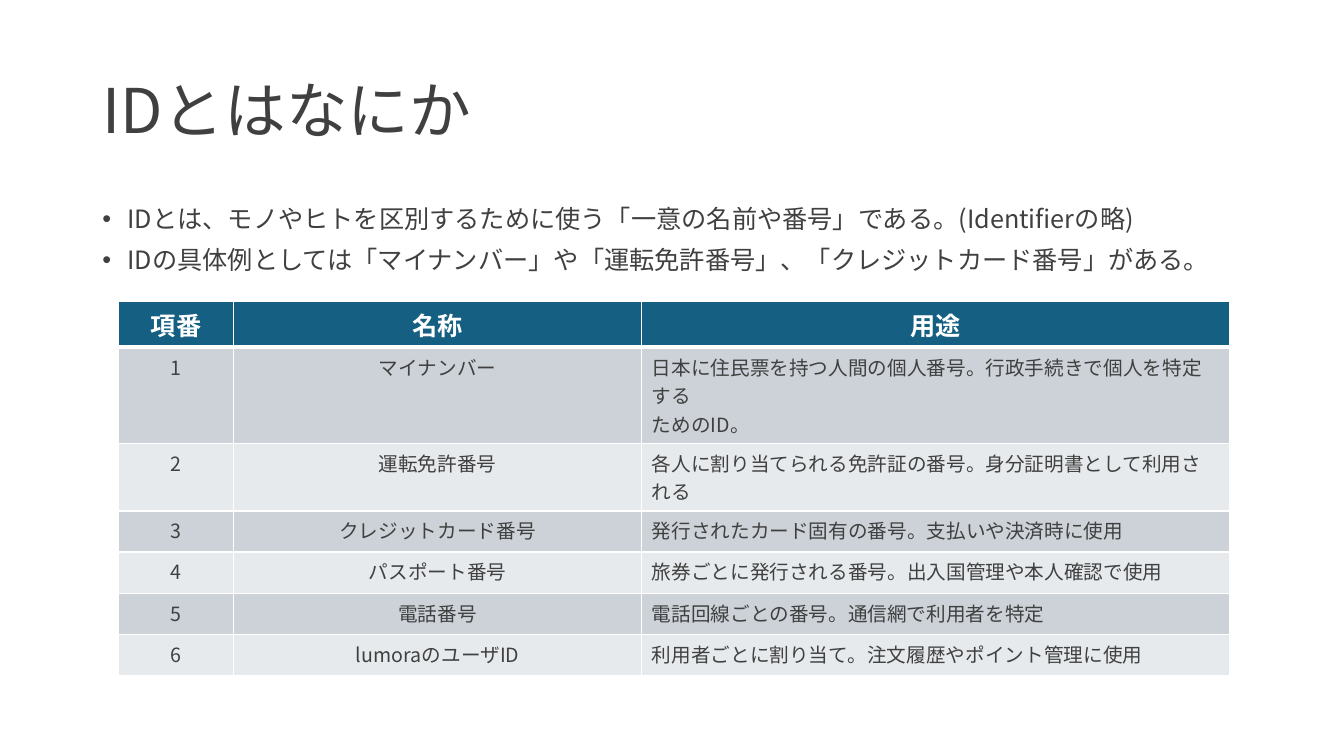
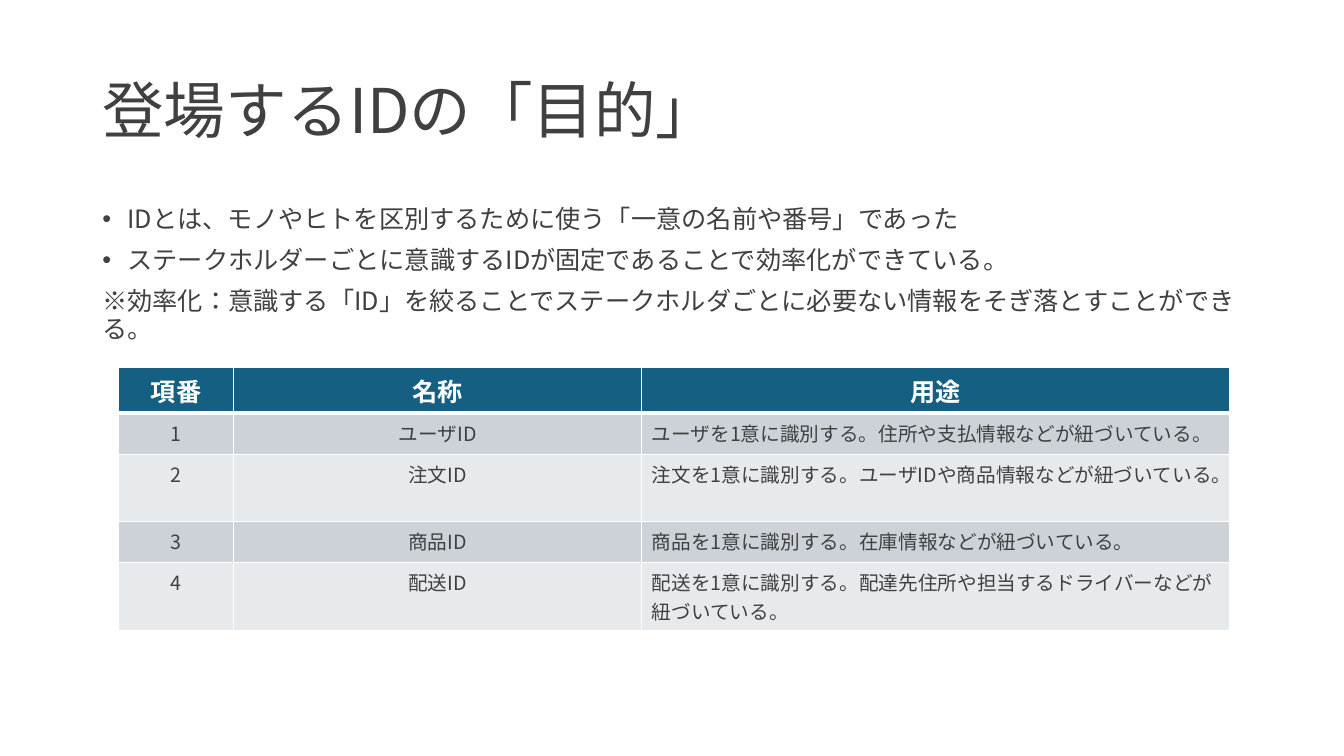
from math import ceil

from lxml.etree import SubElement
from pptx import Presentation
from pptx.dml.color import RGBColor
from pptx.enum.text import MSO_ANCHOR, PP_ALIGN
from pptx.oxml.ns import qn
from pptx.util import Inches, Pt

FONT = "Noto Sans CJK JP"
COLORS = {
    "text": "404040",
    "header": "156082",
    "odd": "CCD2D8",
    "even": "E7EAED",
    "white": "FFFFFF",
}
GRID_COLS, GRID_ROWS = 160, 150
TABLE_COLS = (13.7, 48.6, 70)
TABLE_HEAD = ("項番", "名称", "用途")
HEAD_HEIGHT, MIN_HEIGHT = 9.1, 8.15
LINE_HEIGHT, CELL_PADDING = 5.7, 2
CHARS_PER_LINE = 29


def add_text(p, text, size=18, color="text", bold=False, align=None):
    p.alignment = align
    r = p.add_run()
    r.text = text
    font = r.font
    font.size, font.bold, font.name = Pt(size), bold, FONT
    font.color.rgb = RGBColor.from_string(COLORS[color])
    rPr = r._r.get_or_add_rPr()
    rPr.set("lang", "ja-JP")
    SubElement(rPr, qn("a:ea"), typeface=FONT)


def set_borders(cell, **widths):
    """Draw white edges; widths are points keyed by L, R, T and B."""
    tcPr = cell._tc.get_or_add_tcPr()
    for side, width in widths.items():
        ln = SubElement(tcPr, qn(f"a:ln{side}"), w=str(Pt(width)))
        fill = SubElement(ln, qn("a:solidFill"))
        SubElement(fill, qn("a:srgbClr"), val=COLORS["white"])


def item_height(purpose):
    """Grid rows needed by a purpose text once it wraps."""
    lines = sum(ceil(len(part) / CHARS_PER_LINE) for part in purpose.split("\n"))
    return max(MIN_HEIGHT, CELL_PADDING + LINE_HEIGHT * lines)


class Deck:
    """Slides on a grid of 160 columns by 150 rows in one shared style."""

    def __init__(self):
        self.prs = Presentation()
        self.prs.slide_width = Inches(13.33)
        self.prs.slide_height = Inches(7.5)
        self.slide = None

    def x(self, cols):
        return round(self.prs.slide_width * cols / GRID_COLS)

    def y(self, rows):
        return round(self.prs.slide_height * rows / GRID_ROWS)

    def add_slide(self, title):
        self.slide = self.prs.slides.add_slide(self.prs.slide_layouts[6])
        tf = self.text_box(8, 29, MSO_ANCHOR.MIDDLE)
        p = tf.paragraphs[0]
        p.line_spacing = 0.9
        add_text(p, title, size=44)

    def text_box(self, top, height, anchor=MSO_ANCHOR.TOP):
        sp = self.slide.shapes.add_textbox(
            self.x(11), self.y(top), self.x(138), self.y(height))
        tf = sp.text_frame
        tf.word_wrap = True
        tf.vertical_anchor = anchor
        return tf

    def body(self, height, bullets, note=None):
        tf = self.text_box(40, height)
        lines = bullets + ([note] if note else [])
        for i, line in enumerate(lines):
            p = tf.add_paragraph() if i else tf.paragraphs[0]
            p.line_spacing = 0.9
            if i:
                p.space_before = Pt(10)
            if i < len(bullets):
                pPr = p._p.get_or_add_pPr()
                pPr.set("marL", str(Inches(0.25)))
                pPr.set("indent", str(-Inches(0.25)))
                SubElement(pPr, qn("a:buFont"), typeface="Arial")
                SubElement(pPr, qn("a:buChar"), char="•")
            add_text(p, line)

    def table(self, top, items):
        """Number the (name, purpose) items under the shared header."""
        rows = [TABLE_HEAD]
        rows += [(str(n), *item) for n, item in enumerate(items, 1)]
        heights = [HEAD_HEIGHT] + [item_height(purpose) for _, purpose in items]
        table = self.slide.shapes.add_table(
            len(rows), len(TABLE_COLS), self.x(14.1), self.y(top),
            self.x(sum(TABLE_COLS)), self.y(sum(heights))).table
        table.first_row = table.horz_banding = False
        for col, width in zip(table.columns, TABLE_COLS):
            col.width = self.x(width)
        for r, (row, height) in enumerate(zip(rows, heights)):
            table.rows[r].height = self.y(height)
            for c, text in enumerate(row):
                self.cell(table.cell(r, c), text, r, c)

    def cell(self, cell, text, r, c):
        head = r == 0
        set_borders(cell, L=1, R=1, T=3 if r == 1 else 1, B=3 if head else 1)
        cell.fill.solid()
        fill = "header" if head else ("even", "odd")[r % 2]
        cell.fill.fore_color.rgb = RGBColor.from_string(COLORS[fill])
        centred = head or c < 2
        tf = cell.text_frame
        for i, line in enumerate(text.split("\n")):
            p = tf.add_paragraph() if i else tf.paragraphs[0]
            add_text(p, line, size=18 if head else 14,
                     color="white" if head else "text", bold=head,
                     align=PP_ALIGN.CENTER if centred else PP_ALIGN.LEFT)


def main():
    deck = Deck()

    deck.add_slide("IDとはなにか")
    deck.body(17, [
        "IDとは、モノやヒトを区別するために使う「一意の名前や番号」である。(Identifierの略)",
        "IDの具体例としては「マイナンバー」や「運転免許番号」、「クレジットカード番号」がある。",
    ])
    deck.table(59.8, [
        ("マイナンバー",
         "日本に住民票を持つ人間の個人番号。行政手続きで個人を特定する\nためのID。"),
        ("運転免許番号",
         "各人に割り当てられる免許証の番号。身分証明書として利用される"),
        ("クレジットカード番号", "発行されたカード固有の番号。支払いや決済時に使用"),
        ("パスポート番号", "旅券ごとに発行される番号。出入国管理や本人確認で使用"),
        ("電話番号", "電話回線ごとの番号。通信網で利用者を特定"),
        ("lumoraのユーザID", "利用者ごとに割り当て。注文履歴やポイント管理に使用"),
    ])

    deck.add_slide("登場するIDの「目的」")
    deck.body(26.4, [
        "IDとは、モノやヒトを区別するために使う「一意の名前や番号」であった",
        "ステークホルダーごとに意識するIDが固定であることで効率化ができている。",
    ], note="※効率化：意識する「ID」を絞ることでステークホルダごとに必要ない情報をそぎ落とすことができる。")
    deck.table(72.9, [
        ("ユーザID", "ユーザを1意に識別する。住所や支払情報などが紐づいている。"),
        ("注文ID", "注文を1意に識別する。ユーザIDや商品情報などが紐づいている。"),
        ("商品ID", "商品を1意に識別する。在庫情報などが紐づいている。"),
        ("配送ID",
         "配送を1意に識別する。配達先住所や担当するドライバーなどが紐づいている。"),
    ])

    deck.prs.save("out.pptx")


if __name__ == "__main__":
    main()
